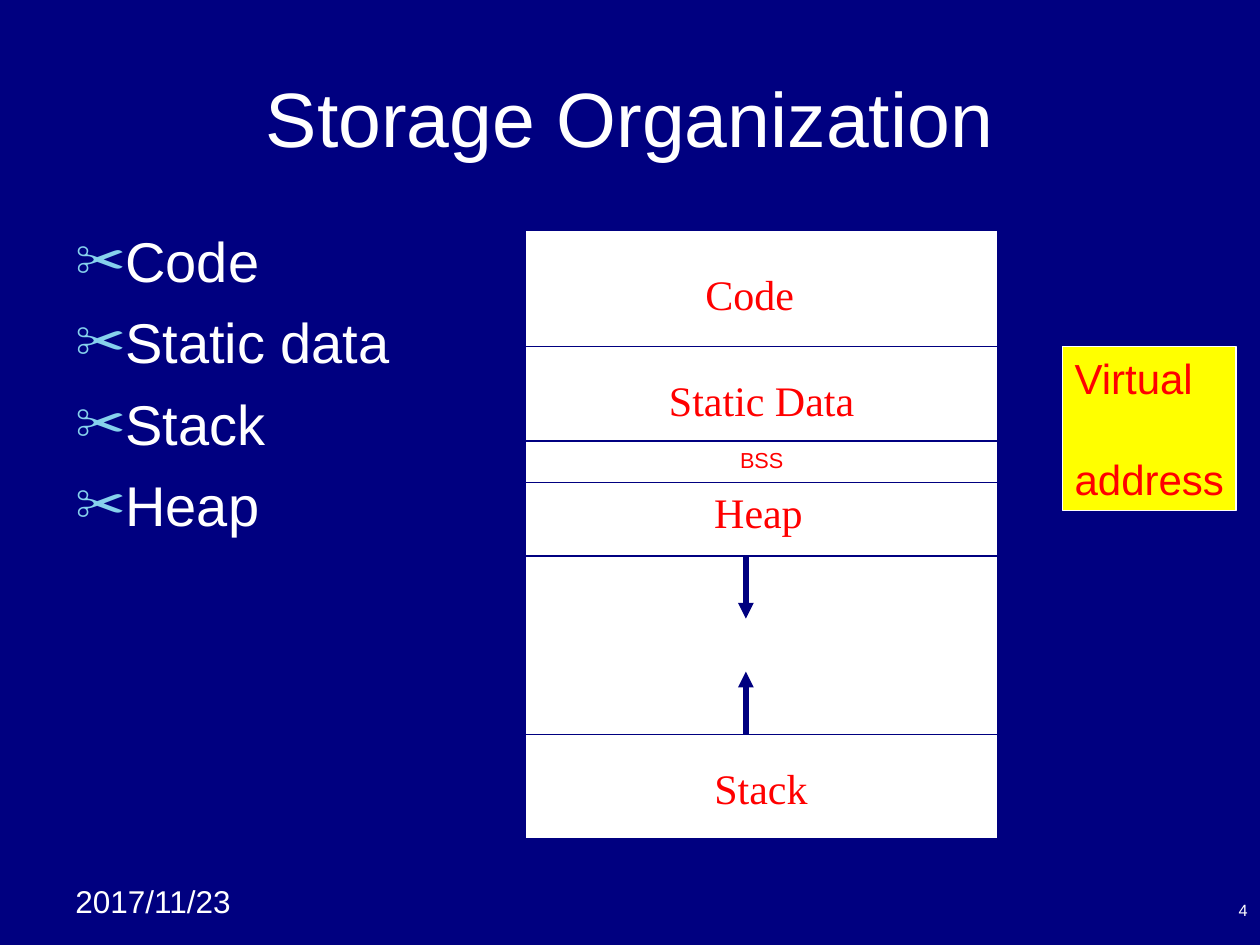
import pptx
import pptx.util
import pptx.dml.color
import pptx.enum.shapes
import pptx.enum.text
import pptx.oxml.ns
from lxml import etree

Inches = pptx.util.Inches
Pt = pptx.util.Pt
Align = pptx.enum.text.PP_ALIGN
Anchor = pptx.enum.text.MSO_ANCHOR
Kind = pptx.enum.shapes.MSO_SHAPE
qn = pptx.oxml.ns.qn

NAVY, WHITE, RED, YELLOW, SKY = "000080", "FFFFFF", "FF0000", "FFFF00", "86D1EC"


def paint(target, color):
    """Give a fill or a line's fill one solid colour."""
    target.solid()
    target.fore_color.rgb = pptx.dml.color.RGBColor.from_string(color)


def write(shape, lines, size, color=WHITE, font="Arial", align=Align.LEFT,
          anchor=Anchor.TOP, wrap=True):
    frame = shape.text_frame
    frame.word_wrap = wrap
    frame.vertical_anchor = anchor
    frame.text = "\n".join(lines)
    for par in frame.paragraphs:
        par.alignment = align
        par.font.size = Pt(size)
        par.font.name = font
        paint(par.font.fill, color)
    return frame.paragraphs


deck = pptx.Presentation()
deck.slide_width, deck.slide_height = Inches(10), Inches(7.5)
slide = deck.slides.add_slide(deck.slide_layouts[6])
paint(slide.background.fill, NAVY)
shapes = slide.shapes

# Title, date and page number
texts = [
    ("Storage Organization", (0.5, 0.3, 9, 1.25), 44, Align.CENTER, Anchor.MIDDLE),
    ("2017/11/23", (0.5, 6.95, 1.58, 0.4), 18, Align.LEFT, Anchor.TOP),
    ("4", (7.67, 7.08, 2.33, 0.27), 9.3, Align.RIGHT, Anchor.BOTTOM),
]
for text, place, size, align, anchor in texts:
    box = shapes.add_textbox(*map(Inches, place))
    write(box, [text], size, align=align, anchor=anchor)

# Bulleted list
box = shapes.add_textbox(Inches(0.5), Inches(1.75), Inches(9), Inches(4.95))
for par in write(box, ["Code", "Static data", "Stack", "Heap"], 32):
    par.space_before = Pt(8)
    props = par._p.get_or_add_pPr()
    props.set("marL", str(Inches(0.38)))
    props.set("indent", str(-Inches(0.38)))
    tint = etree.SubElement(props, qn("a:buClr"))
    etree.SubElement(tint, qn("a:srgbClr"), val=SKY)
    etree.SubElement(props, qn("a:buSzPct"), val="90000")
    etree.SubElement(props, qn("a:buFont"), typeface="Arial")
    etree.SubElement(props, qn("a:buChar"), char="✂")

# Memory block, its dividers and the growth arrows
left, wide = 4.17, 3.75
block = shapes.add_shape(Kind.RECTANGLE, Inches(left), Inches(1.83),
                         Inches(wide), Inches(4.83))
block.shadow.inherit = False
paint(block.fill, WHITE)
paint(block.line.fill, NAVY)
block.line.width = Pt(1)

mid, heap, stack = 5.92, 4.41, 5.83
rules = [(left, y, 8, y, 1) for y in (2.75, 3.5, heap, stack)]
arrows = [(mid, stack, mid, stack - 0.5, 3), (mid, heap, mid, heap + 0.5, 3)]
for *ends, width in rules + arrows:
    line = shapes.add_connector(pptx.enum.shapes.MSO_CONNECTOR.STRAIGHT,
                                *map(Inches, ends))
    paint(line.line.fill, NAVY)
    line.line.width = Pt(width)
    if width == 3:
        etree.SubElement(line.line._get_or_add_ln(), qn("a:tailEnd"), type="triangle")
    etree.SubElement(line._element.spPr, qn("a:effectLst"))

# Names of the areas, each wide enough for one line
areas = [
    ("Code", 5.47, 2.08, 0.96),
    ("Static Data", 5.2, 2.92, 1.69),
    ("Heap", 5.54, 3.81, 0.96),
    ("Stack", 5.56, 6, 0.96),
]
for name, x, y, width in areas:
    box = shapes.add_textbox(Inches(x), Inches(y), Inches(width), Inches(0.5))
    write(box, [name], 24, RED, "Times New Roman", Align.CENTER, wrap=False)
    box.text_frame.auto_size = pptx.enum.text.MSO_AUTO_SIZE.SHAPE_TO_FIT_TEXT

# Address note and BSS strip
note = shapes.add_shape(Kind.RECTANGLE, Inches(8.43), Inches(2.75),
                        Inches(1.38), Inches(1.3))
strip = shapes.add_shape(Kind.RECTANGLE, Inches(left), Inches(3.5),
                         Inches(wide), Inches(0.33))
for box, fill, edge in [(note, YELLOW, WHITE), (strip, WHITE, NAVY)]:
    box.shadow.inherit = False
    paint(box.fill, fill)
    paint(box.line.fill, edge)
    box.line.width = Pt(0.75)
pars = write(note, ["Virtual", "address"], 24, RED, wrap=False)
pars[1].space_before = Pt(29)
write(strip, ["BSS"], 12.4, RED, align=Align.CENTER)

deck.save("out.pptx")
